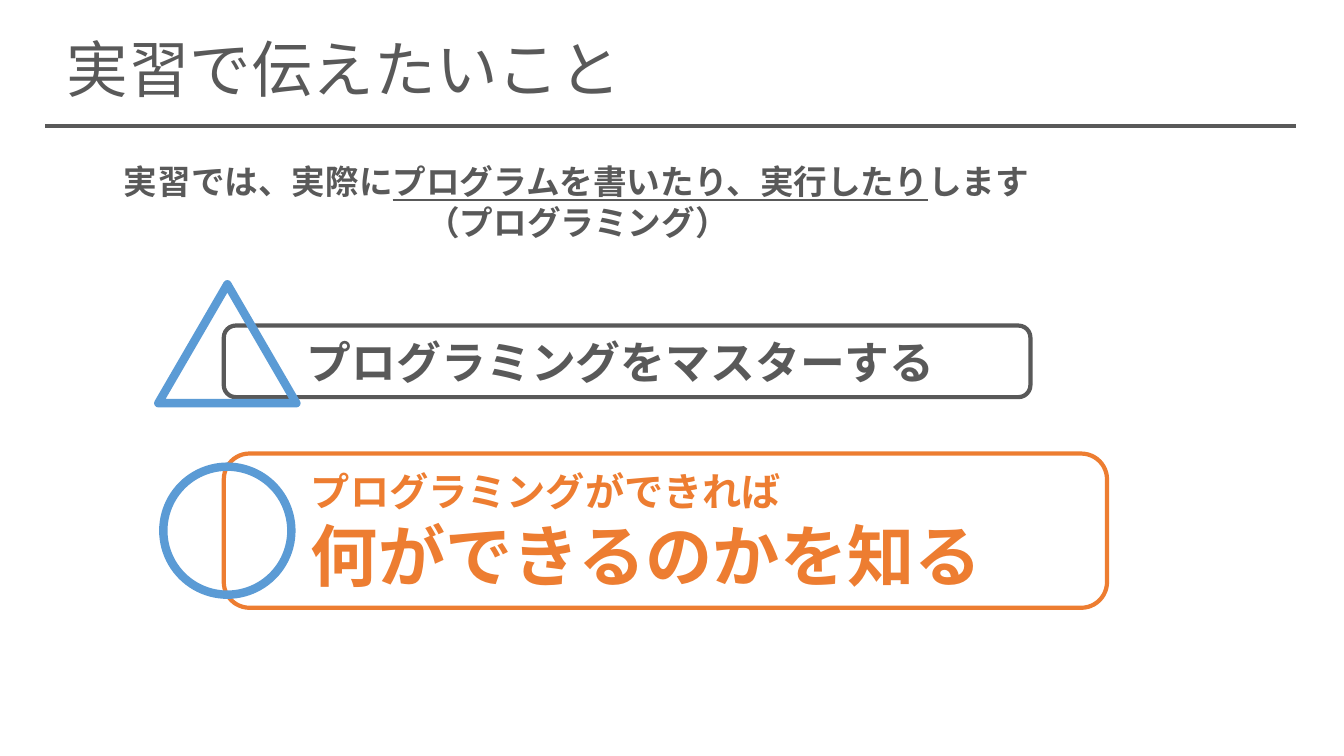
from lxml import etree
from pptx import Presentation
from pptx.dml.color import RGBColor
from pptx.enum.shapes import MSO_CONNECTOR, MSO_SHAPE
from pptx.enum.text import MSO_ANCHOR, MSO_AUTO_SIZE, PP_ALIGN
from pptx.oxml.ns import qn
from pptx.util import Pt

LEFT = PP_ALIGN.LEFT
TOP, MIDDLE = MSO_ANCHOR.TOP, MSO_ANCHOR.MIDDLE
NO_FIT = MSO_AUTO_SIZE.NONE
STRAIGHT = MSO_CONNECTOR.STRAIGHT
ROUNDED, CIRCLE, TRIANGLE = MSO_SHAPE.ROUNDED_RECTANGLE, MSO_SHAPE.OVAL, MSO_SHAPE.ISOSCELES_TRIANGLE
EMU_PER_PX = 9144
GRAY, ORANGE, BLUE = "595959", "ED7D31", "5B9BD5"


def px(*lengths):
    return [length * EMU_PER_PX for length in lengths]


def color(code):
    return RGBColor.from_string(code)


def assign(target, values):
    for key, value in values.items():
        setattr(target, key, value)


class Board:
    font = "Noto Sans CJK JP"

    def __init__(self, deck):
        self.slide = deck.slides.add_slide(deck.slide_layouts[5])

    def fill_text(self, frame, paragraphs, ink, anchor=TOP, inset=10, bold=True, spacing=1.0):
        side, edge = px(inset, 5)
        assign(frame, dict(word_wrap=True, auto_size=NO_FIT, vertical_anchor=anchor, margin_left=side,
                           margin_right=side, margin_top=edge, margin_bottom=edge))
        for index, (size, indent, pieces) in enumerate(paragraphs):
            paragraph = frame.add_paragraph() if index else frame.paragraphs[0]
            assign(paragraph, dict(alignment=LEFT, line_spacing=spacing))
            if indent:
                paragraph._p.get_or_add_pPr().set("marL", str(px(indent)[0]))
            for words, underline in pieces:
                run = paragraph.add_run()
                run.text = words
                assign(run.font, dict(size=Pt(size), bold=bold, underline=underline, name=self.font))
                run.font.color.rgb = color(ink)
                etree.SubElement(run.font._element, qn("a:ea")).set("typeface", self.font)

    def title(self, box, words):
        heading = self.slide.shapes.title
        assign(heading, dict(zip(("left", "top", "width", "height"), px(*box))))
        self.fill_text(heading.text_frame, [(44, 0, [(words, False)])], GRAY, MIDDLE, bold=False, spacing=0.9)

    def text(self, box, paragraphs):
        self.fill_text(self.slide.shapes.add_textbox(*px(*box)).text_frame, paragraphs, GRAY)

    def rule(self, ends, ink, weight):
        line = self.slide.shapes.add_connector(STRAIGHT, *px(*ends))
        line.line.color.rgb = color(ink)
        line.line.width = Pt(weight)
        etree.SubElement(line._element.spPr, qn("a:effectLst"))

    def outline(self, kind, box, ink, weight, paragraphs=()):
        shape = self.slide.shapes.add_shape(kind, *px(*box))
        shape.shadow.inherit = False
        shape.fill.background()
        shape.line.color.rgb = color(ink)
        shape.line.width = Pt(weight)
        if paragraphs:
            self.fill_text(shape.text_frame, paragraphs, ink, MIDDLE, inset=79)


def main():
    deck = Presentation()
    deck.slide_width, deck.slide_height = px(1333, 750)
    board = Board(deck)
    board.title((56, 30, 1039, 84), "実習で伝えたいこと")
    board.rule((45, 125, 1285, 125), GRAY, 2.25)
    board.outline(ROUNDED, (222, 450, 876, 153), ORANGE, 3, [
        (28, 0, [("プログラミングができれば", False)]),
        (48, 0, [("何ができるのかを知る", False)]),
    ])
    board.outline(ROUNDED, (222, 323, 800, 71), GRAY, 3, [
        (32, 0, [("プログラミングをマスターする", False)]),
    ])
    board.text((113, 155, 948, 91), [
        (24, 0, [("実習では、実際に", False), ("プログラムを書いたり、実行したり", True), ("します", False)]),
        (24, 300, [("（プログラミング）", False)]),
    ])
    board.outline(CIRCLE, (162, 463, 127, 127), BLUE, 6)
    board.outline(TRIANGLE, (157, 282, 137, 118), BLUE, 6)
    deck.save("out.pptx")


if __name__ == "__main__":
    main()
